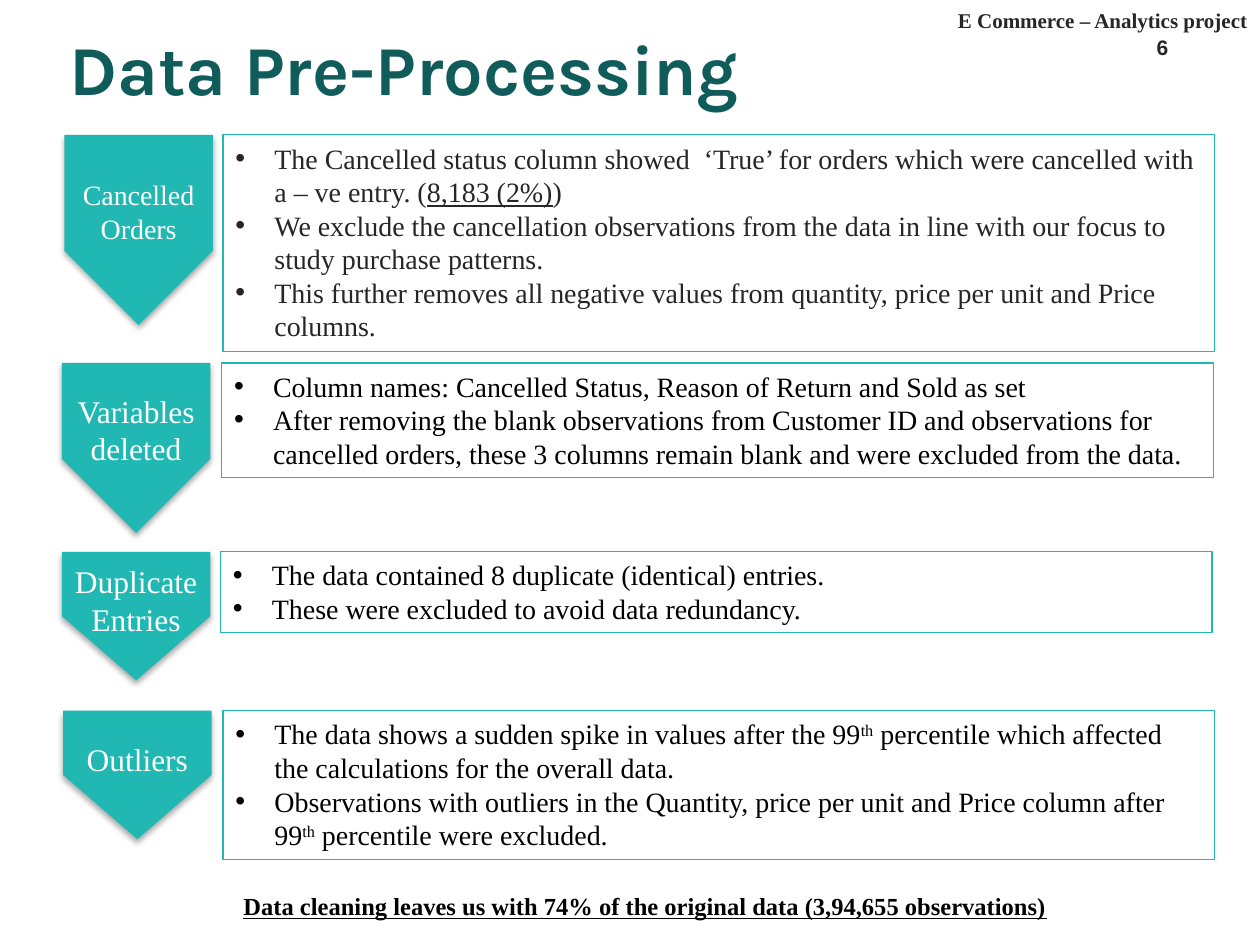
from lxml.etree import SubElement
from pptx import Presentation
from pptx.dml.color import RGBColor
from pptx.enum.shapes import MSO_SHAPE
from pptx.enum.text import MSO_ANCHOR, PP_ALIGN
from pptx.oxml.ns import qn
from pptx.util import Pt

PX = 9144  # 100 px to the inch
COLORS = {
    "teal": "21B8B3",
    "title": "105C5A",
    "dark": "262626",
    "black": "000000",
    "white": "FFFFFF",
}
SERIF = "Times New Roman"

prs = Presentation()
prs.slide_width, prs.slide_height = 1000 * PX, 750 * PX
slide = prs.slides.add_slide(prs.slide_layouts[6])


def style(font, size, color, name=SERIF, bold=False):
    font.size, font.name, font.bold = Pt(size), name, bold
    font.color.rgb = RGBColor.from_string(COLORS[color])


def add_line(text, box, size, color, align, anchor, name=SERIF):
    """Add a text box holding one bold line and return its text frame."""
    frame = slide.shapes.add_textbox(*[n * PX for n in box]).text_frame
    frame.word_wrap = True
    frame.vertical_anchor = anchor
    frame.text = text
    frame.paragraphs[0].alignment = align
    style(frame.paragraphs[0].runs[0].font, size, color, name, True)
    return frame


add_line("E Commerce – Analytics project", (587, 19, 413, 12), 12, "dark",
         PP_ALIGN.RIGHT, MSO_ANCHOR.BOTTOM)
add_line("6", (895, 19, 55, 33), 12, "dark",
         PP_ALIGN.CENTER, MSO_ANCHOR.BOTTOM, "Arial")
title = add_line("Data Pre-Processing", (35, 10, 575, 87), 40, "title",
                 PP_ALIGN.LEFT, MSO_ANCHOR.MIDDLE, "Karla")
title.margin_left, title.margin_right = 20 * PX, 0

# label, label size, tag (left, top, height), box (left, top, height), text colour,
# bullets as lists of (text, mark)
steps = [
    ("Cancelled Orders", 16, (51, 107, 151), (177, 107, 172), "dark", [
        [("The Cancelled status column showed  ‘True’ for orders which were "
          "cancelled with a – ve entry. (", ""), ("8,183 (2%)", "underline"), (")", "")],
        [("We exclude the cancellation observations from the data in line with "
          "our focus to study purchase patterns.", "")],
        [("This further removes all negative values from quantity, price per unit "
          "and Price columns.", "")],
    ]),
    ("Variables deleted", 18, (49, 288, 135), (176, 288, 91), "black", [
        [("Column names: Cancelled Status, Reason of Return and Sold as set", "")],
        [("After removing the blank observations from Customer ID and observations "
          "for cancelled orders, these 3 columns remain blank and were excluded "
          "from the data.", "")],
    ]),
    ("Duplicate Entries", 18, (49, 438, 102), (175, 438, 64), "black", [
        [("The data contained 8 duplicate (identical) entries.", "")],
        [("These were excluded to avoid data redundancy.", "")],
    ]),
    ("Outliers", 18, (50, 564, 102), (177, 564, 118), "black", [
        [("The data shows a sudden spike in values after the 99", ""),
         ("th", "superscript"),
         (" percentile which affected the calculations for the overall data.", "")],
        [("Observations with outliers in the Quantity, price per unit and Price "
          "column after 99", ""), ("th", "superscript"),
         (" percentile were excluded.", "")],
    ]),
]
TAG_WIDTH, BOX_WIDTH, INDENT = 118, 787, 31

for label, label_size, tag_at, box_at, color, bullets in steps:
    # The tag is a pentagon turned to point down, so its sides swap about its centre
    left, top, height = tag_at
    shift = (height - TAG_WIDTH) / 2
    tag = slide.shapes.add_shape(
        MSO_SHAPE.PENTAGON, round((left - shift) * PX), round((top + shift) * PX),
        height * PX, TAG_WIDTH * PX)
    tag.rotation = 90
    tag.fill.solid()
    tag.fill.fore_color.rgb = RGBColor.from_string(COLORS["teal"])
    tag.line.fill.background()
    tag.shadow.inherit = False
    effects = tag._element.spPr.find(qn("a:effectLst"))
    shadow = SubElement(effects, qn("a:outerShdw"), blurRad=str(Pt(3.5)),
                        dist=str(Pt(2.2)), dir="5400000", rotWithShape="0")
    shade = SubElement(shadow, qn("a:srgbClr"), val=COLORS["black"])
    SubElement(shade, qn("a:alpha"), val="32000")
    frame = tag.text_frame
    frame.word_wrap = True
    frame.vertical_anchor = MSO_ANCHOR.MIDDLE
    frame._txBody.bodyPr.set("vert", "vert270")
    frame.text = label
    frame.paragraphs[0].alignment = PP_ALIGN.CENTER
    style(frame.paragraphs[0].runs[0].font, label_size, "white")

    left, top, height = box_at
    box = slide.shapes.add_shape(MSO_SHAPE.RECTANGLE, left * PX, top * PX,
                                 BOX_WIDTH * PX, height * PX)
    box.fill.background()
    box.line.color.rgb = RGBColor.from_string(COLORS["teal"])
    box.line.width = Pt(0.75)
    box.shadow.inherit = False
    frame = box.text_frame
    frame.word_wrap = True
    frame.vertical_anchor = MSO_ANCHOR.TOP
    for i, parts in enumerate(bullets):
        bullet = frame.add_paragraph() if i else frame.paragraphs[0]
        bullet.alignment = PP_ALIGN.LEFT
        props = bullet._p.get_or_add_pPr()
        props.set("marL", str(INDENT * PX))
        props.set("indent", str(-INDENT * PX))
        SubElement(props, qn("a:buFont"), typeface="Arial")
        SubElement(props, qn("a:buChar"), char="•")
        for text, mark in parts:
            run = bullet.add_run()
            run.text = text
            style(run.font, 16, color)
            if mark == "underline":
                run.font.underline = True
            elif mark == "superscript":
                run.font._element.set("baseline", "30000")

summary = add_line(
    "Data cleaning leaves us with 74% of the original data (3,94,655 observations)",
    (44, 698, 936, 40), 14, "black", PP_ALIGN.CENTER, MSO_ANCHOR.TOP)
summary.paragraphs[0].line_spacing = 1.2
summary.paragraphs[0].runs[0].font.underline = True

prs.save("out.pptx")
